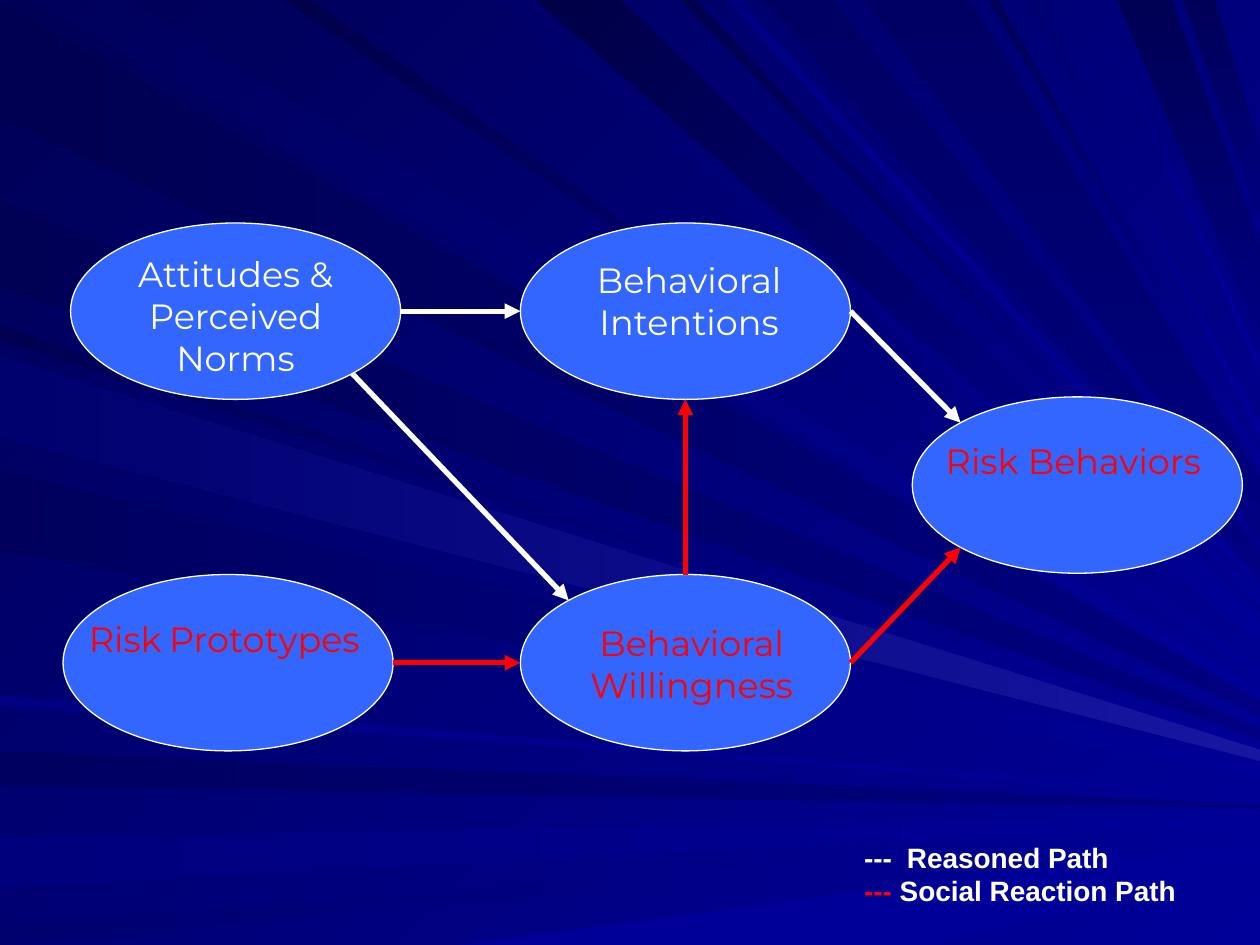
from dataclasses import dataclass
from math import cos, radians, sin

from lxml.etree import SubElement
from pptx import Presentation
from pptx.dml.color import RGBColor
from pptx.enum.shapes import MSO_CONNECTOR as Connector, MSO_SHAPE as Shape
from pptx.enum.text import MSO_AUTO_SIZE as AutoSize, PP_ALIGN as Align
from pptx.oxml.ns import qn
from pptx.util import Pt

PX = 9144
SLIDE_WIDTH, SLIDE_HEIGHT = 1000, 750


@dataclass(frozen=True)
class Theme:
    white: str = "FFFFFF"
    red: str = "FF0000"
    node: str = "3366FF"
    light: str = "000099"
    medium: str = "000080"
    glow: str = "1616A1"
    dark: str = "000057"
    label_font: str = "Montserrat"
    legend_font: str = "Arial"
    label_size: int = 20
    small_size: int = 16
    outline: float = 0.75
    arrow: int = 3


THEME = Theme()

NODE_WIDTH, NODE_HEIGHT = 262, 140
NODES = {
    "attitudes": (56, 177, (77, 200, 220, 100), ["Attitudes & Perceived Norms"], THEME.white),
    "prototypes": (50, 456, (68, 490, 220, 33), ["Risk", " ", "Prototypes"], THEME.red),
    "intentions": (413, 177, (460, 205, 174, 67), ["Behavioral Intentions"], THEME.white),
    "willingness": (413, 456, (456, 493, 186, 67), ["Behavioral Willingness"], THEME.red),
    "behaviors": (724, 315, (745, 349, 214, 33), ["Risk Behaviors"], THEME.red),
}

RIGHT, LOWER_RIGHT, BOTTOM, LOWER_LEFT, LEFT, UPPER_LEFT, TOP = (
    step * 45 for step in range(7))
ARROWS = [
    ("attitudes", RIGHT, "intentions", LEFT, THEME.white),
    ("prototypes", RIGHT, "willingness", LEFT, THEME.red),
    ("attitudes", LOWER_RIGHT, "willingness", UPPER_LEFT, THEME.white),
    ("willingness", TOP, "intentions", BOTTOM, THEME.red),
    ("intentions", RIGHT, "behaviors", UPPER_LEFT, THEME.white),
    ("willingness", RIGHT, "behaviors", LOWER_LEFT, THEME.red),
]

FOCUS_X, FOCUS_Y = 1160, 645
EDGES = {
    "left": lambda offset: (0, offset),
    "top": lambda offset: (offset, 0),
    "bottom": lambda offset: (offset, SLIDE_HEIGHT),
}
RAY_GROUPS = [
    ("left", THEME.medium, 180, [
        (2, 93, "000051"), (159, 228, "000055"), (596, 623, "000060")]),
    ("left", THEME.light, 180, [
        (258, 270, "000053"), (278, 342, "000060"), (374, 437, "00005C"),
        (552, 560, "000081"), (665, 704, "00007C"), (735, 750, "00006E")]),
    ("bottom", THEME.light, 180, [(364, 742, THEME.light)]),
    ("top", THEME.light, 225, [
        (26, 101, "00005C"), (225, 247, "00004A"), (398, 416, "00006A"),
        (426, 492, "000046"), (540, 552, "00004E"), (577, 588, "000081")]),
    ("top", THEME.medium, 270, [
        (606, 661, "000064"), (686, 770, "000064"),
        (887, 930, "000055"), (939, 964, "000059")]),
    ("top", THEME.light, 225, [
        (785, 792, "000057"), (815, 824, "00006E"), (865, 872, "000078")]),
    ("left", THEME.glow, 180, [(283, 347, "00006E")]),
]


def emu(*lengths):
    return [round(length * PX) for length in lengths]


def rgb(color):
    return RGBColor.from_string(color)


def apply(target, values):
    for name, value in values.items():
        setattr(target, name, value)


def paint(fill, start, end=None, angle=0):
    if end is None:
        fill.solid()
        fill.fore_color.rgb = rgb(start)
        return
    fill.gradient()
    fill.gradient_angle = 360 - angle
    for stop, color in zip(fill.gradient_stops, (start, end)):
        stop.color.rgb = rgb(color)


def toward_focus(x, y):
    share = (SLIDE_WIDTH - x) / (FOCUS_X - x)
    return SLIDE_WIDTH, round(y + (FOCUS_Y - y) * share)


def add_ray(slide, edge, light, angle, band):
    start, end, dark = band
    first, last = EDGES[edge](start), EDGES[edge](end)
    builder = slide.shapes.build_freeform(*first, scale=PX)
    builder.add_line_segments([toward_focus(*first), toward_focus(*last), last], close=True)
    shape = builder.convert_to_shape()
    shape.shadow.inherit = False
    paint(shape.fill, light, dark, angle)
    shape.line.fill.background()


def add_run(paragraph, text, color, shadow=False, **font):
    run = paragraph.add_run()
    run.text = text
    run.font.color.rgb = rgb(color)
    if shadow:
        effects = SubElement(run.font._element, qn("a:effectLst"))
        outer = SubElement(effects, qn("a:outerShdw"), dist="17961", dir="2700000")
        SubElement(outer, qn("a:srgbClr"), val="000000")
    apply(run.font, font)


def add_text_frame(slide, box, inset_x=0, inset_y=0):
    frame = slide.shapes.add_textbox(*emu(*box)).text_frame
    horizontal, vertical = emu(inset_x, inset_y)
    apply(frame, {"word_wrap": True, "auto_size": AutoSize.SHAPE_TO_FIT_TEXT,
                  "margin_left": horizontal, "margin_right": horizontal,
                  "margin_top": vertical, "margin_bottom": vertical})
    return frame


def add_node(slide, left, top, box, pieces, color):
    shape = slide.shapes.add_shape(Shape.OVAL, *emu(left, top, NODE_WIDTH, NODE_HEIGHT))
    shape.shadow.inherit = False
    paint(shape.fill, THEME.node)
    paint(shape.line.fill, THEME.white)
    shape.line.width = Pt(THEME.outline)
    paragraph = add_text_frame(slide, box).paragraphs[0]
    paragraph.alignment = Align.CENTER
    for piece in pieces:
        size = THEME.label_size if piece.strip() else THEME.small_size
        add_run(paragraph, piece, color, shadow=True, name=THEME.label_font, size=Pt(size))


def rim_point(name, angle):
    left, top = NODES[name][:2]
    return emu(left + NODE_WIDTH / 2 * (1 + cos(radians(angle))),
               top + NODE_HEIGHT / 2 * (1 + sin(radians(angle))))


def add_arrow(slide, source, source_angle, target, target_angle, color):
    connector = slide.shapes.add_connector(
        Connector.STRAIGHT, *rim_point(source, source_angle), *rim_point(target, target_angle))
    paint(connector.line.fill, color)
    connector.line.width = Pt(THEME.arrow)
    SubElement(connector.line._get_or_add_ln(), qn("a:tailEnd"), type="triangle")
    SubElement(connector._element.spPr, qn("a:effectLst"))


def add_legend(slide):
    frame = add_text_frame(slide, (676, 662, 374, 117), 10, 5)
    font = {"name": THEME.legend_font, "size": Pt(THEME.small_size), "bold": True}
    reasoned, reaction = frame.paragraphs[0], frame.add_paragraph()
    tabs = SubElement(reasoned._p.get_or_add_pPr(), qn("a:tabLst"))
    SubElement(tabs, qn("a:tab"), pos=str(emu(34)[0]), algn="l")
    add_run(reasoned, "---\tReasoned Path", THEME.white, **font)
    add_run(reaction, "---", THEME.red, **font)
    add_run(reaction, " Social Reaction Path", THEME.white, **font)


def main():
    presentation = Presentation()
    presentation.slide_width, presentation.slide_height = emu(SLIDE_WIDTH, SLIDE_HEIGHT)
    slide = presentation.slides.add_slide(presentation.slide_layouts[6])
    paint(slide.background.fill, THEME.light, THEME.dark, 225)
    for edge, light, angle, bands in RAY_GROUPS:
        for band in bands:
            add_ray(slide, edge, light, angle, band)
    for node in NODES.values():
        add_node(slide, *node)
    for arrow in ARROWS:
        add_arrow(slide, *arrow)
    add_legend(slide)
    presentation.save("out.pptx")


if __name__ == "__main__":
    main()
